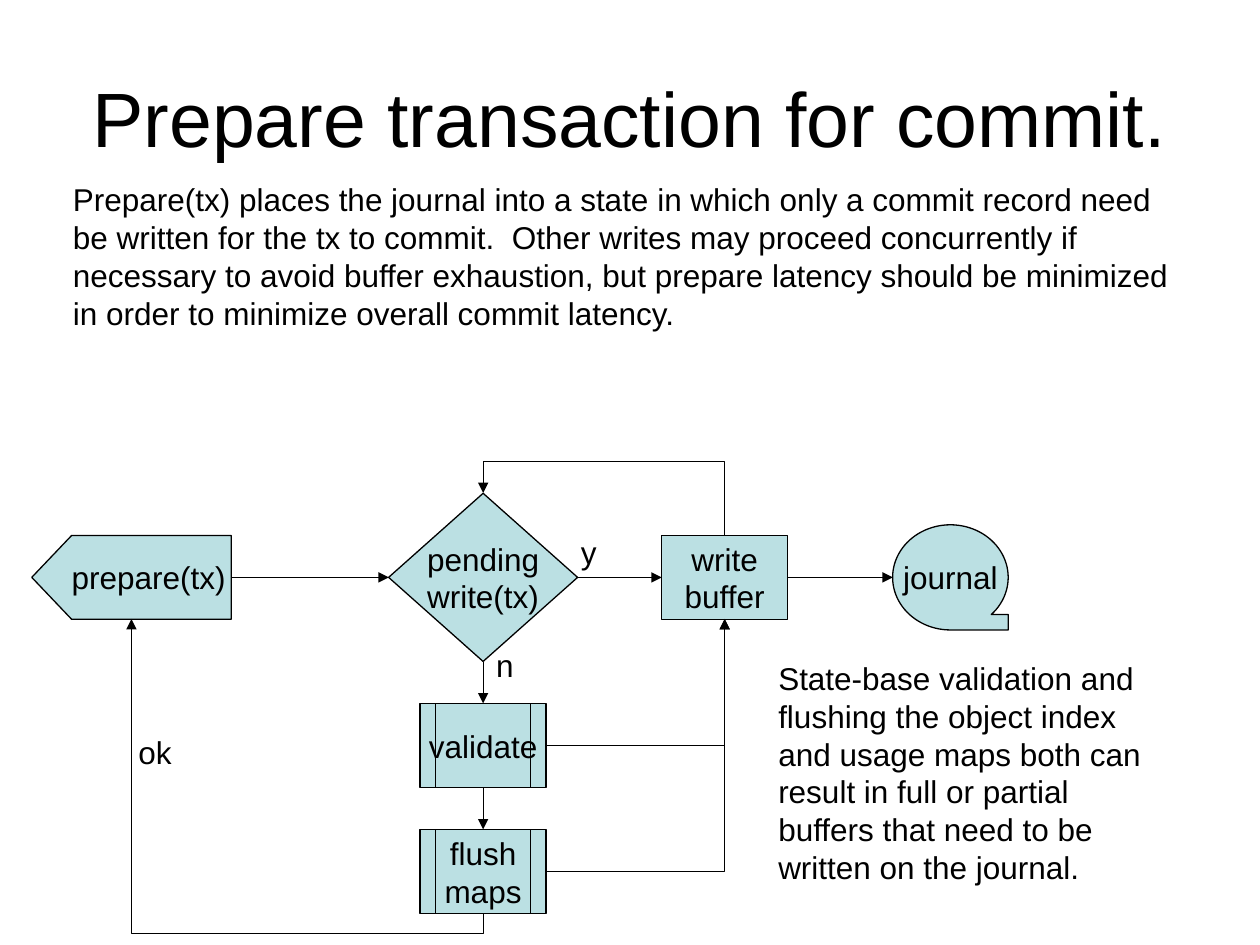
"""Build the slide on preparing a transaction for commit."""
from dataclasses import dataclass

from lxml import etree
from pptx import Presentation
from pptx.dml.color import RGBColor
from pptx.enum.shapes import MSO_CONNECTOR, MSO_SHAPE
from pptx.enum.text import MSO_ANCHOR, MSO_AUTO_SIZE, PP_ALIGN
from pptx.oxml.ns import qn
from pptx.util import Cm, Pt

STRAIGHT, ELBOW = MSO_CONNECTOR.STRAIGHT, MSO_CONNECTOR.ELBOW
CHOICE = MSO_SHAPE.FLOWCHART_DECISION
PROCESS = MSO_SHAPE.FLOWCHART_PROCESS
OFFPAGE = MSO_SHAPE.FLOWCHART_OFFPAGE_CONNECTOR
ROUTINE = MSO_SHAPE.FLOWCHART_PREDEFINED_PROCESS
TAPE = MSO_SHAPE.FLOWCHART_SEQUENTIAL_ACCESS_STORAGE
LEFT, CENTER = PP_ALIGN.LEFT, PP_ALIGN.CENTER
TOP, MIDDLE = MSO_ANCHOR.TOP, MSO_ANCHOR.MIDDLE
NO_FIT, GROW = MSO_AUTO_SIZE.NONE, MSO_AUTO_SIZE.SHAPE_TO_FIT_TEXT
GRID = Cm(0.01)


@dataclass(frozen=True)
class Theme:
    font: str = "Arial"
    ink: RGBColor = RGBColor(0, 0, 0)
    fill: RGBColor = RGBColor(0xBB, 0xE0, 0xE3)
    head: Pt = Pt(44)
    body: Pt = Pt(18)
    line: Pt = Pt(0.74)


THEME = Theme()
INTRO = (
    "Prepare(tx) places the journal into a state in which only a commit record "
    "need be written for the tx to commit.  Other writes may proceed concurrently "
    "if necessary to avoid buffer exhaustion, but prepare latency should be "
    "minimized in order to minimize overall commit latency."
)
NOTE = (
    "State-base validation and flushing the object index and usage maps both can "
    "result in full or partial buffers that need to be written on the journal."
)


def write(shape, text, size, align, anchor, wrap, fit):
    frame = shape.text_frame
    frame.text = text
    frame.word_wrap = wrap
    frame.auto_size = fit
    frame.vertical_anchor = anchor
    for para in frame.paragraphs:
        para.alignment = align
        for run in para.runs:
            run.font.size = size
            run.font.name = THEME.font
            run.font.color.rgb = THEME.ink


def stroke(line):
    line.color.rgb = THEME.ink
    line.width = THEME.line


def title(slide, text):
    shape = slide.shapes.title
    shape.left, shape.top = Cm(1.27), Cm(0.76)
    shape.width, shape.height = Cm(22.86), Cm(3.18)
    write(shape, text, THEME.head, CENTER, MIDDLE, True, NO_FIT)


def label(slide, text, x, y, w, h, wrap=False):
    box = slide.shapes.add_textbox(Cm(x), Cm(y), Cm(w), Cm(h))
    write(box, text, THEME.body, LEFT, TOP, wrap, GROW)


def node(slide, kind, text, x, y, w=2.54, h=1.69):
    shape = slide.shapes.add_shape(kind, Cm(x - w / 2), Cm(y - h / 2), Cm(w), Cm(h))
    shape.shadow.inherit = False
    shape.fill.solid()
    shape.fill.fore_color.rgb = THEME.fill
    stroke(shape.line)
    write(shape, text, THEME.body, CENTER, MIDDLE, False, NO_FIT)
    return shape


def turn(shape):
    shape.rotation = 90
    frame = shape.text_frame
    frame.margin_left = frame.margin_right = Cm(0)
    frame.margin_top = frame.margin_bottom = Cm(0)
    body = shape.element.txBody.find(qn("a:bodyPr"))
    body.set("vert", "eaVert")
    body.set("rot", "10800000")


def snap(value):
    return round(value / GRID) * GRID


def port(shape, side):
    w, h = shape.width, shape.height
    x, y = shape.left + w / 2, shape.top + h / 2
    if shape.rotation == 90:
        w, h = h, w
    dx, dy = {"l": (-1, 0), "r": (1, 0), "t": (0, -1), "b": (0, 1)}[side]
    return snap(x + dx * w / 2), snap(y + dy * h / 2)


def wire(slide, kind, start, end):
    link = slide.shapes.add_connector(kind, *start, *end)
    stroke(link.line)
    props = link.element.spPr
    tip = etree.SubElement(props.find(qn("a:ln")), qn("a:tailEnd"))
    tip.set("type", "triangle")
    etree.SubElement(props, qn("a:effectLst"))
    return link


def corner(slide, start, end):
    link = wire(slide, ELBOW, start, end)
    link.element.spPr.find(qn("a:prstGeom")).set("prst", "bentConnector2")


def loop(slide, start, end, lane):
    (x1, y1), (x2, y2) = start, end
    w, h = y1 - y2, x1 - x2
    x, y = (x1 + x2 - w) // 2, (y1 + y2 - h) // 2
    link = wire(slide, ELBOW, (x, y), (x + w, y + h))
    props = link.element.spPr
    frame = props.find(qn("a:xfrm"))
    frame.set("rot", "16200000")
    frame.set("flipV", "1")
    geom = props.find(qn("a:prstGeom"))
    guides = geom.find(qn("a:avLst"))
    if guides is None:
        guides = etree.SubElement(geom, qn("a:avLst"))
    bend = etree.SubElement(guides, qn("a:gd"))
    bend.set("name", "adj1")
    bend.set("fmla", f"val {round((y1 - Cm(lane)) / w * 100000)}")


def main():
    deck = Presentation()
    deck.slide_width, deck.slide_height = Cm(25.4), Cm(19.05)
    slide = deck.slides.add_slide(deck.slide_layouts[5])
    title(slide, "Prepare transaction for commit.")

    row, mid, step = 11.64, 9.74, 2.54
    check = node(slide, CHOICE, "pending\nwrite(tx)", mid, row, 3.81, 3.39)
    buffer = node(slide, PROCESS, "write\nbuffer", 14.61, row)
    prep = node(slide, OFFPAGE, "prepare(tx)", 2.65, row, 1.69, 4.02)
    turn(prep)
    valid = node(slide, ROUTINE, "validate", mid, 15.03)
    flush = node(slide, ROUTINE, "flush\nmaps", mid, 15.03 + step)
    tape = node(slide, TAPE, "journal", 19.16, row, 2.33, 2.12)

    for first, last, sides in (
        (prep, check, "rl"),
        (check, buffer, "rl"),
        (buffer, tape, "rl"),
        (check, valid, "bt"),
        (valid, flush, "bt"),
    ):
        wire(slide, STRAIGHT, port(first, sides[0]), port(last, sides[1]))
    for first in (valid, flush):
        corner(slide, port(first, "r"), port(buffer, "b"))
    loop(slide, port(buffer, "t"), port(check, "t"), 9.31)
    loop(slide, port(flush, "b"), port(prep, "b"), 18.82)

    label(slide, "y", 11.46, 10.62, 0.81, 1.02)
    label(slide, "n", 9.75, 12.9, 0.86, 1.02)
    label(slide, "ok", 2.54, 14.66, 1.17, 1.02)
    label(slide, INTRO, 1.22, 3.51, 22.68, 3.3, True)
    label(slide, NOTE, 15.44, 13.16, 8.31, 4.83, True)
    deck.save("out.pptx")


main()
